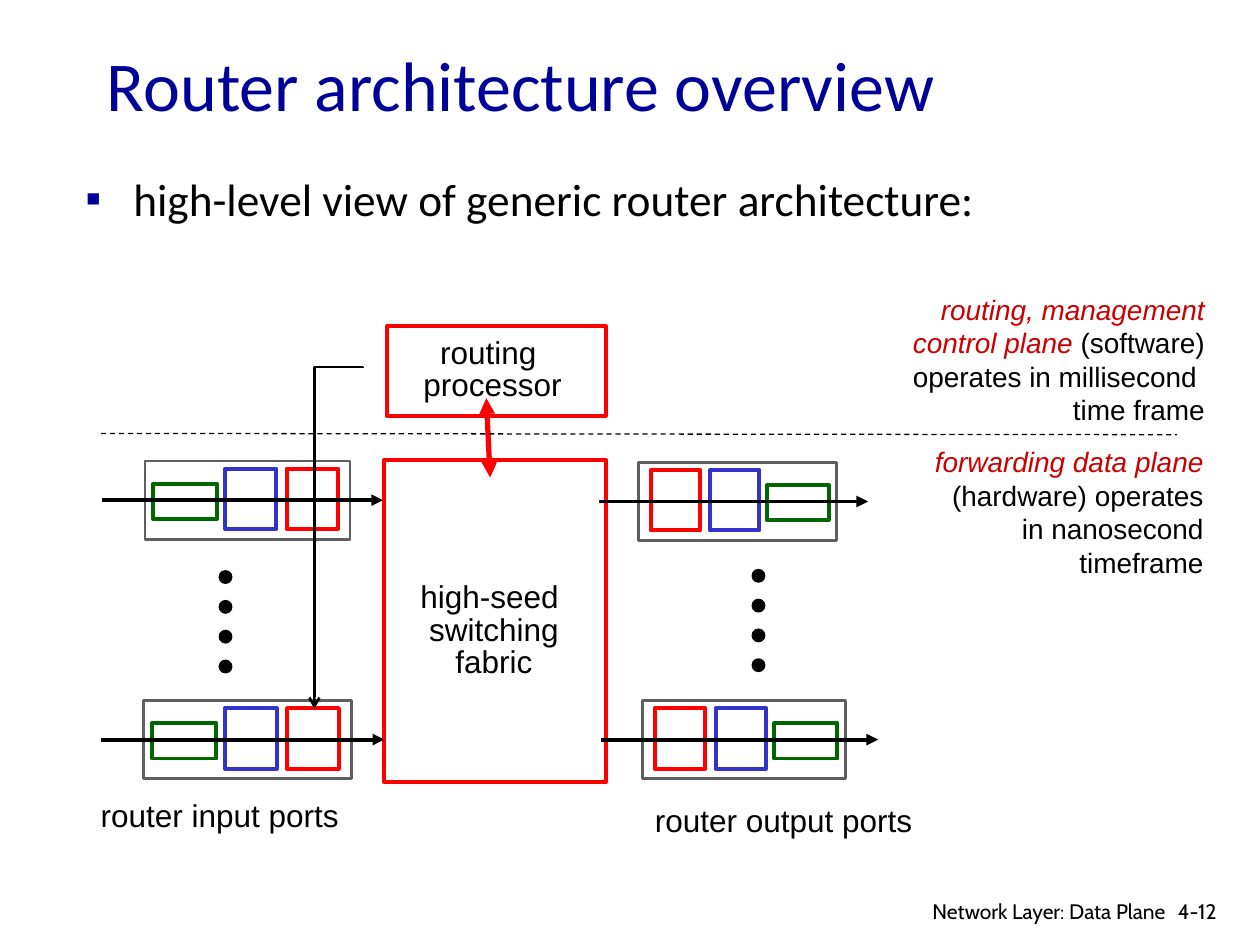
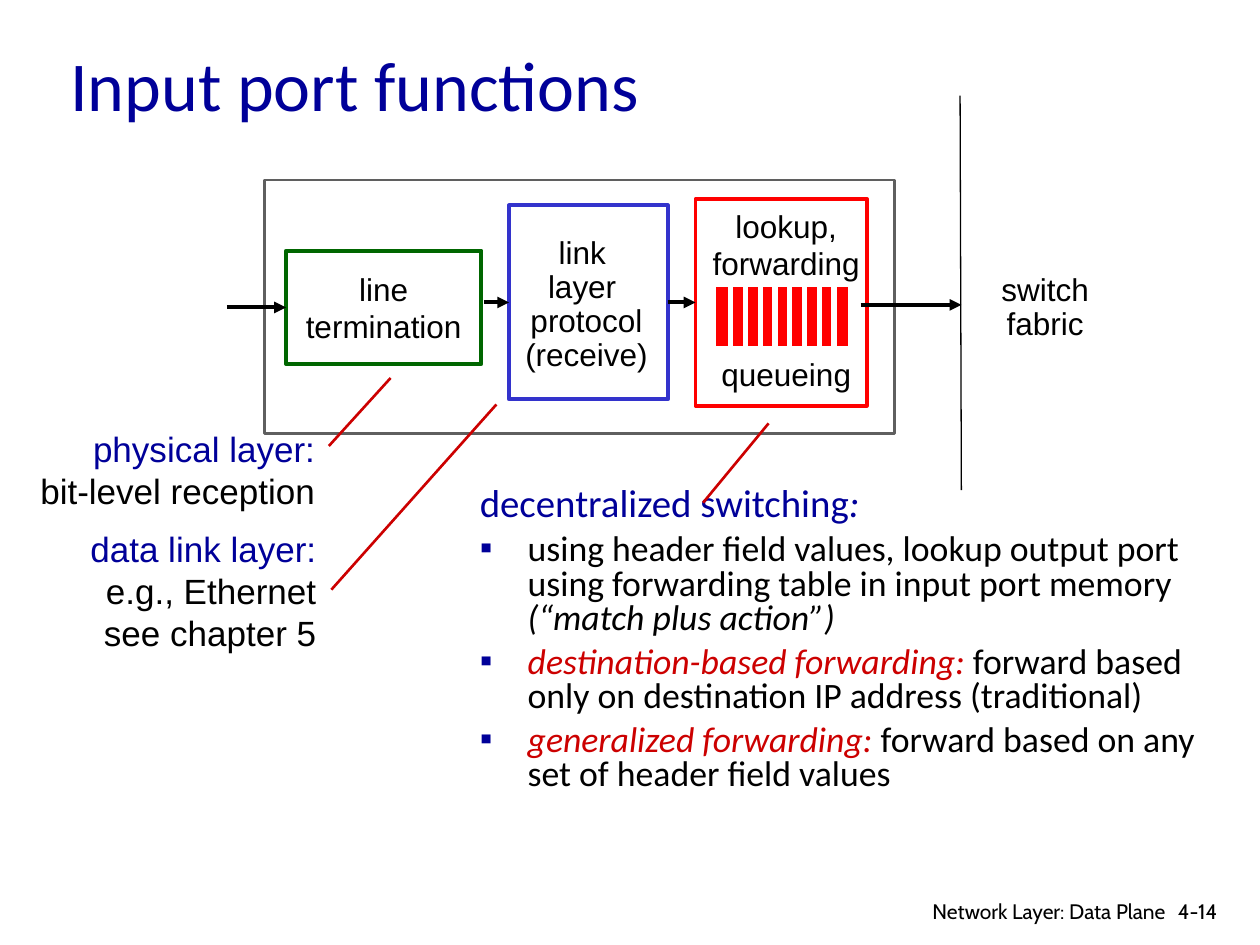
from lxml.etree import SubElement
from pptx import Presentation
from pptx.dml.color import RGBColor
from pptx.enum.dml import MSO_LINE
from pptx.enum.shapes import MSO_CONNECTOR, MSO_SHAPE
from pptx.enum.text import MSO_ANCHOR, PP_ALIGN
from pptx.oxml.ns import qn
from pptx.util import Inches, Pt

BLACK, WHITE, GRAY = "000000", "FFFFFF", "5F5F5F"
RED, BLUE, GREEN = "FF0000", "3333CC", "006600"
NAVY, CRIMSON = "000099", "CC0000"
LEFT, CENTER, RIGHT = PP_ALIGN.LEFT, PP_ALIGN.CENTER, PP_ALIGN.RIGHT
FOOTER = "Network Layer: Data Plane"

PORT_HEIGHT = 0.62
PORT_STAGES = [
    (0.04, 0.31, 0.18, 0.28, GREEN),
    (0.39, 0.25, 0.06, 0.48, BLUE),
    (0.69, 0.25, 0.06, 0.48, RED),
]


def color(value):
    return RGBColor.from_string(value)


def add_run(paragraph, text, size, font, ink=BLACK, italic=False):
    run = paragraph.add_run()
    run.text = text
    run.font.size = Pt(size)
    run.font.name = font
    run.font.italic = italic
    run.font.color.rgb = color(ink)


def write_lines(frame, lines, size, ink=BLACK, font="Arial", align=CENTER, spacing=1.0):
    for index, line in enumerate(lines):
        paragraph = frame.paragraphs[0] if index == 0 else frame.add_paragraph()
        paragraph.alignment = align
        paragraph.line_spacing = spacing
        runs = [(line, ink)] if isinstance(line, str) else line
        for text, *style in runs:
            add_run(paragraph, text, size, font, *style)


def add_text(slide, box, lines, size, wrap=False, anchor=MSO_ANCHOR.TOP, **style):
    shape = slide.shapes.add_textbox(*map(Inches, box))
    frame = shape.text_frame
    frame.word_wrap = wrap
    frame.vertical_anchor = anchor
    write_lines(frame, lines, size, **style)
    return frame


def add_box(slide, box, line_color, line_width=2.25, fill=WHITE, preset=MSO_SHAPE.RECTANGLE):
    shape = slide.shapes.add_shape(preset, *map(Inches, box))
    shape.shadow.inherit = False
    shape.fill.solid()
    shape.fill.fore_color.rgb = color(fill)
    shape.line.color.rgb = color(line_color)
    shape.line.width = Pt(line_width)
    return shape


def add_line(slide, start, end, ink=BLACK, width=2.25, head=None, tail=None,
             kind=MSO_CONNECTOR.STRAIGHT):
    connector = slide.shapes.add_connector(kind, *map(Inches, (*start, *end)))
    connector.line.color.rgb = color(ink)
    connector.line.width = Pt(width)
    outline = connector.line._get_or_add_ln()
    for tag, arrow in (("a:headEnd", head), ("a:tailEnd", tail)):
        if arrow:
            SubElement(outline, qn(tag)).set("type", arrow)
    SubElement(connector._element.spPr, qn("a:effectLst"))
    return connector


def add_arrow(slide, start, end, source=None, target=None):
    arrow = add_line(slide, start, end, tail="triangle")
    if source:
        arrow.begin_connect(source, 3)
    if target:
        arrow.end_connect(target, 1)


def add_control_path(slide):
    connector = add_line(slide, (1.33, 4.08), (4.04, 4.46), width=1.5, tail="arrow",
                         kind=MSO_CONNECTOR.ELBOW)
    properties = connector._element.spPr
    properties.find(qn("a:xfrm")).set("rot", "5400000")
    adjustments = properties.find(qn("a:prstGeom")).find(qn("a:avLst"))
    guide = SubElement(adjustments, qn("a:gd"))
    guide.set("name", "adj1")
    guide.set("fmla", "val -100")


def hang(paragraph, bullet=True):
    properties = paragraph._p.get_or_add_pPr()
    properties.set("marL", str(Inches(0.38)))
    properties.set("indent", str(-Inches(0.38)))
    if bullet:
        bullet_color = SubElement(properties, qn("a:buClr"))
        SubElement(bullet_color, qn("a:srgbClr")).set("val", NAVY)
        SubElement(properties, qn("a:buFont")).set("typeface", "Arial")
        SubElement(properties, qn("a:buChar")).set("char", "▪")


def add_port(slide, left, top, width, arrow_start, arrow_end, mirrored=False):
    add_box(slide, (left, top, width, PORT_HEIGHT), GRAY, 1.5)
    for offset, share, drop, height, ink in PORT_STAGES:
        if mirrored:
            offset = 1 - offset - share
        add_box(slide, (left + offset * width, top + drop, share * width, height), ink)
    middle = top + PORT_HEIGHT / 2
    add_arrow(slide, (arrow_start, middle), (arrow_end, middle))


def add_dots(slide, left, top):
    for index in range(4):
        add_box(slide, (left, top + index * 0.71 / 3, 0.1, 0.1), BLACK, 0.75, BLACK,
                MSO_SHAPE.OVAL)


def add_queue(slide):
    add_box(slide, (5.66, 2.26, 1.09, 0.51), WHITE, 3, RED)
    for index in range(8):
        x = 5.8 + index * 0.82 / 7
        add_line(slide, (x, 2.26), (x, 2.75), WHITE, 3)


def add_title(slide, left, text):
    add_text(slide, (left, 0.33, 8.5, 0.67), [text], 40, wrap=True,
             anchor=MSO_ANCHOR.MIDDLE, ink=NAVY, font="Calibri", align=LEFT)


def add_footer(slide, number):
    add_text(slide, (9.25, 7.08, 0.61, 0.3), [number], 12, wrap=True,
             font="Cabin", align=LEFT)
    add_text(slide, (6.97, 7.08, 2.38, 0.26), [FOOTER], 12, wrap=True,
             font="Cabin", align=RIGHT)


def build_architecture(slide):
    add_title(slide, 0.75, "Router architecture overview")
    add_box(slide, (3.05, 3.65, 1.76, 2.56), RED)
    add_text(slide, (3.12, 4.58, 1.6, 0.87), ["high-seed ", "switching", "fabric"], 18,
             spacing=0.85)
    add_box(slide, (3.07, 2.59, 1.74, 0.71), RED)
    add_text(slide, (3.16, 2.64, 1.5, 0.61), ["routing ", "processor"], 18, spacing=0.85)
    add_line(slide, (3.86, 3.16), (3.89, 3.79), RED, 3, head="triangle", tail="triangle")

    add_port(slide, 1.15, 3.66, 1.63, 0.81, 3.04)
    add_port(slide, 1.14, 5.56, 1.65, 0.8, 3.05)
    add_port(slide, 5.07, 3.67, 1.57, 4.75, 6.89, mirrored=True)
    add_port(slide, 5.1, 5.56, 1.61, 4.77, 6.97, mirrored=True)
    add_dots(slide, 1.74, 4.53)
    add_dots(slide, 5.97, 4.52)
    add_text(slide, (0.7, 6.27, 2.3, 0.4), ["router input ports"], 18, wrap=True, align=LEFT)
    add_text(slide, (5.1, 6.31, 2.5, 0.4), ["router output ports"], 18, wrap=True, align=LEFT)

    divider = add_line(slide, (0.8, 3.44), (9.34, 3.45), width=0.75)
    divider.line.dash_style = MSO_LINE.DASH
    data_plane = [
        [("forwarding data plane ", CRIMSON, True),
         ("(hardware) operates in nanosecond timeframe", BLACK)],
    ]
    add_text(slide, (7.26, 3.48, 2.39, 1.17), data_plane, 16, wrap=True, align=RIGHT)
    control_plane = [
        [("routing, management", CRIMSON, True)],
        [("control plane ", CRIMSON, True), ("(software)", BLACK)],
        "operates in millisecond ",
        "time frame",
    ]
    add_text(slide, (6.51, 2.27, 3.15, 1.17), control_plane, 16, wrap=True, align=RIGHT)
    add_control_path(slide)
    overview = add_text(slide, (0.58, 1.41, 8.5, 0.64),
                        ["high-level view of generic router architecture:"], 25.9,
                        wrap=True, font="Calibri", align=LEFT, spacing=0.75)
    hang(overview.paragraphs[0])
    add_footer(slide, "4-12")


def add_switching_notes(slide):
    notes = [
        [("decentralized switching", NAVY), (":", NAVY, True)],
        [("using header field values, lookup output port using forwarding table"
          " in input port memory ", BLACK), ("(“match plus action”)", BLACK, True)],
        [("destination-based forwarding: ", CRIMSON, True),
         ("forward based only on destination IP address (traditional)", BLACK)],
        [("generalized forwarding: ", CRIMSON, True),
         ("forward based on any set of header field values", BLACK)],
    ]
    frame = add_text(slide, (3.71, 3.82, 5.97, 2.92), notes, 20.4, wrap=True,
                     font="Calibri", align=LEFT, spacing=0.8)
    heading, *points = frame.paragraphs
    hang(heading, bullet=False)
    for run in heading.runs:
        run.font.size = Pt(22.2)
    for point in points:
        hang(point)
        point.space_before = Pt(5.5)


def build_input_port(slide):
    add_box(slide, (2.1, 1.43, 5, 2.01), GRAY, 1.5)
    termination = add_box(slide, (2.27, 1.99, 1.55, 0.9), GREEN)
    termination.text_frame.word_wrap = False
    termination.text_frame.vertical_anchor = MSO_ANCHOR.MIDDLE
    write_lines(termination.text_frame, ["line", "termination"], 18)
    link_layer = add_box(slide, (4.04, 1.63, 1.26, 1.54), BLUE)
    lookup = add_box(slide, (5.52, 1.58, 1.36, 1.64), RED)
    add_arrow(slide, (1.8, 2.44), (2.27, 2.44), target=termination)
    add_arrow(slide, (3.84, 2.4), (4.04, 2.4), target=link_layer)
    add_arrow(slide, (5.3, 2.4), (5.52, 2.4), link_layer, lookup)
    add_arrow(slide, (6.83, 2.42), (7.63, 2.42))
    add_text(slide, (3.95, 1.97, 1.41, 0.91), ["link ", "layer ", "protocol", "(receive)"],
             18, anchor=MSO_ANCHOR.MIDDLE, spacing=0.9)
    lookup_label = add_text(slide, (5.44, 1.59, 1.6, 1.6),
                            ["lookup,", "forwarding", "queueing"], 18)
    lookup_label.paragraphs[2].space_before = Pt(41.4)

    add_title(slide, 0.46, "Input port functions")
    add_switching_notes(slide)
    add_text(slide, (0.1, 3.34, 2.5, 0.77),
             [[("physical layer:", NAVY)], "bit-level reception"], 20, wrap=True,
             align=RIGHT)
    add_text(slide, (0.1, 4.14, 2.51, 1.1),
             [[("data link layer:", NAVY)], "e.g., Ethernet", "see chapter 5"], 20,
             wrap=True, align=RIGHT)
    add_line(slide, (7.62, 0.76), (7.63, 3.89), width=0.75)
    add_text(slide, (7.72, 1.99, 1.15, 0.91), ["switch", "fabric"], 18,
             anchor=MSO_ANCHOR.MIDDLE, spacing=0.9)
    add_queue(slide)
    for start, end in [((2.61, 3.54), (3.1, 3)), ((2.63, 4.68), (3.94, 3.21)),
                       ((5.58, 3.99), (6.1, 3.36))]:
        add_line(slide, start, end, CRIMSON, 1.5)
    add_footer(slide, "4-14")


def main():
    presentation = Presentation()
    presentation.slide_width = Inches(10)
    presentation.slide_height = Inches(7.5)
    blank = presentation.slide_layouts[6]
    for build in (build_architecture, build_input_port):
        build(presentation.slides.add_slide(blank))
    presentation.save("out.pptx")


if __name__ == "__main__":
    main()
